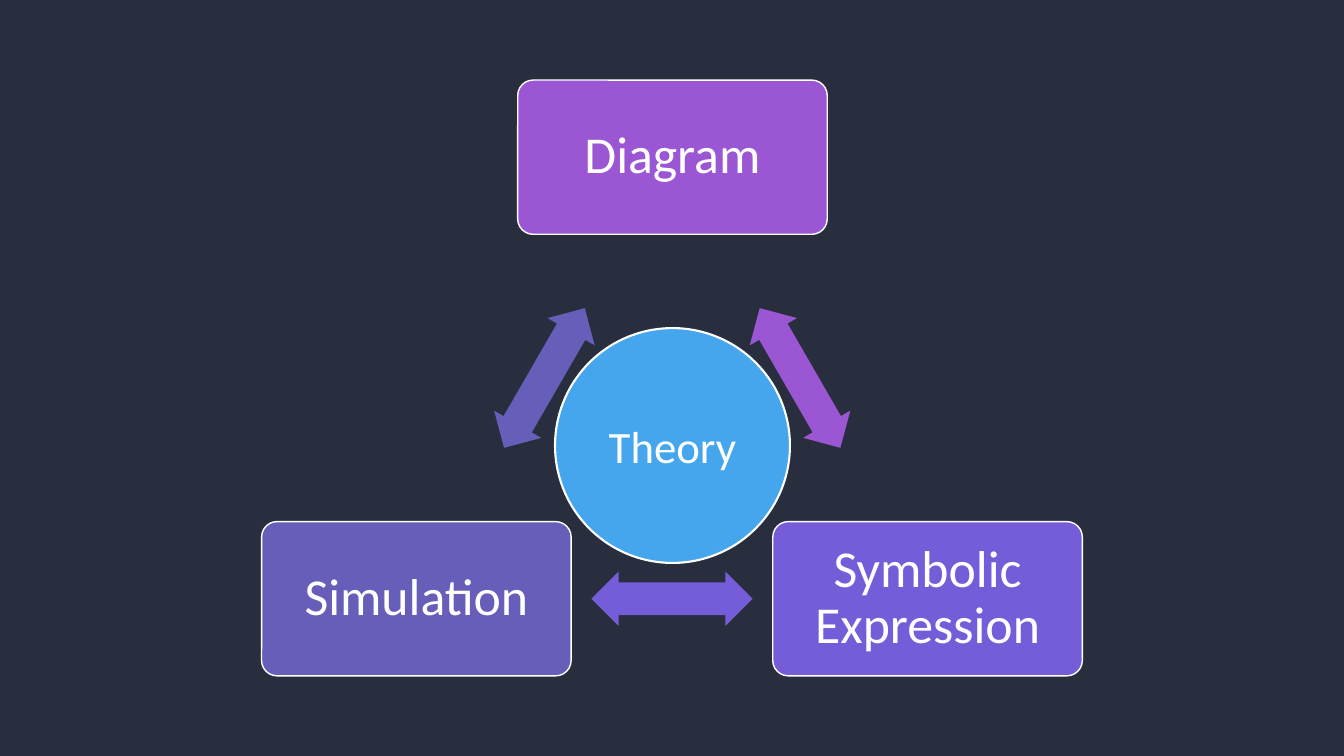
from pptx import Presentation
from pptx.dml.color import RGBColor
from pptx.enum.shapes import MSO_SHAPE
from pptx.enum.text import MSO_ANCHOR, PP_ALIGN
from pptx.util import Inches, Pt

ROUND = MSO_SHAPE.ROUNDED_RECTANGLE
ARROW = MSO_SHAPE.LEFT_RIGHT_ARROW
OVAL = MSO_SHAPE.OVAL
MIDDLE = MSO_ANCHOR.MIDDLE
CENTER = PP_ALIGN.CENTER

NAVY = RGBColor(0x29, 0x2E, 0x3F)
WHITE = RGBColor(0xFF, 0xFF, 0xFF)
ORCHID = RGBColor(0x9B, 0x57, 0xD3)
VIOLET = RGBColor(0x75, 0x5D, 0xD9)
INDIGO = RGBColor(0x66, 0x5E, 0xB8)
BLUE = RGBColor(0x45, 0xA5, 0xED)

# Label, fill, centre x, centre y; clockwise from the top
NODES = [
    ("Diagram", ORCHID, 6.67, 1.56),
    ("Symbolic Expression", VIOLET, 9.2, 5.94),
    ("Simulation", INDIGO, 4.13, 5.94),
]


class Cycle:
    def __init__(self, slide):
        self.slide = slide
        self.font = {"name": "Calibri", "color": WHITE}
        fill = slide.background.fill
        fill.solid()
        fill.fore_color.rgb = NAVY

    def shape(self, kind, mid, size, color, border=0):
        """Add a filled shape centred on mid, with a white border if given."""
        (x, y), (w, h) = mid, size
        item = self.slide.shapes.add_shape(
            kind, Inches(x - w / 2), Inches(y - h / 2), Inches(w), Inches(h))
        item.shadow.inherit = False
        item.fill.solid()
        item.fill.fore_color.rgb = color
        if border:
            item.line.color.rgb = WHITE
            item.line.width = Pt(border)
        else:
            item.line.fill.background()
        return item

    def label(self, item, text, size, inset, pitch=1.0):
        frame = item.text_frame
        look = {"word_wrap": True, "vertical_anchor": MIDDLE}
        for side in ("left", "top", "right", "bottom"):
            look["margin_" + side] = Inches(inset)
        for name, value in look.items():
            setattr(frame, name, value)
        para = frame.paragraphs[0]
        para.alignment = CENTER
        para.line_spacing = pitch
        run = para.add_run()
        run.text = text
        run.font.name = self.font["name"]
        run.font.size = Pt(size)
        run.font.color.rgb = self.font["color"]

    def box(self, text, color, mid):
        item = self.shape(ROUND, mid, (3.07, 1.53), color, 1)
        item.adjustments[0] = 0.1
        self.label(item, text, 37, 0.19, 0.9)

    def arrow(self, color, mid, angle):
        item = self.shape(ARROW, mid, (1.6, 0.54), color)
        item.adjustments[0] = 0.6
        item.adjustments[1] = 0.5
        item.rotation = angle

    def hub(self, text, color, mid):
        item = self.shape(OVAL, mid, (2.33, 2.33), color, 1.5)
        self.label(item, text, 32, 0.15)


def main():
    deck = Presentation()
    deck.slide_width = Inches(13.33)
    deck.slide_height = Inches(7.5)
    cycle = Cycle(deck.slides.add_slide(deck.slide_layouts[6]))

    for i, (text, color, x, y) in enumerate(NODES):
        next_x, next_y = NODES[(i + 1) % len(NODES)][2:]
        cycle.box(text, color, (x, y))
        # Each arrow sits halfway to the next box
        cycle.arrow(color, ((x + next_x) / 2, (y + next_y) / 2), 60 + 120 * i)
    cycle.hub("Theory", BLUE, (6.67, 4.42))

    deck.save("out.pptx")


if __name__ == "__main__":
    main()
